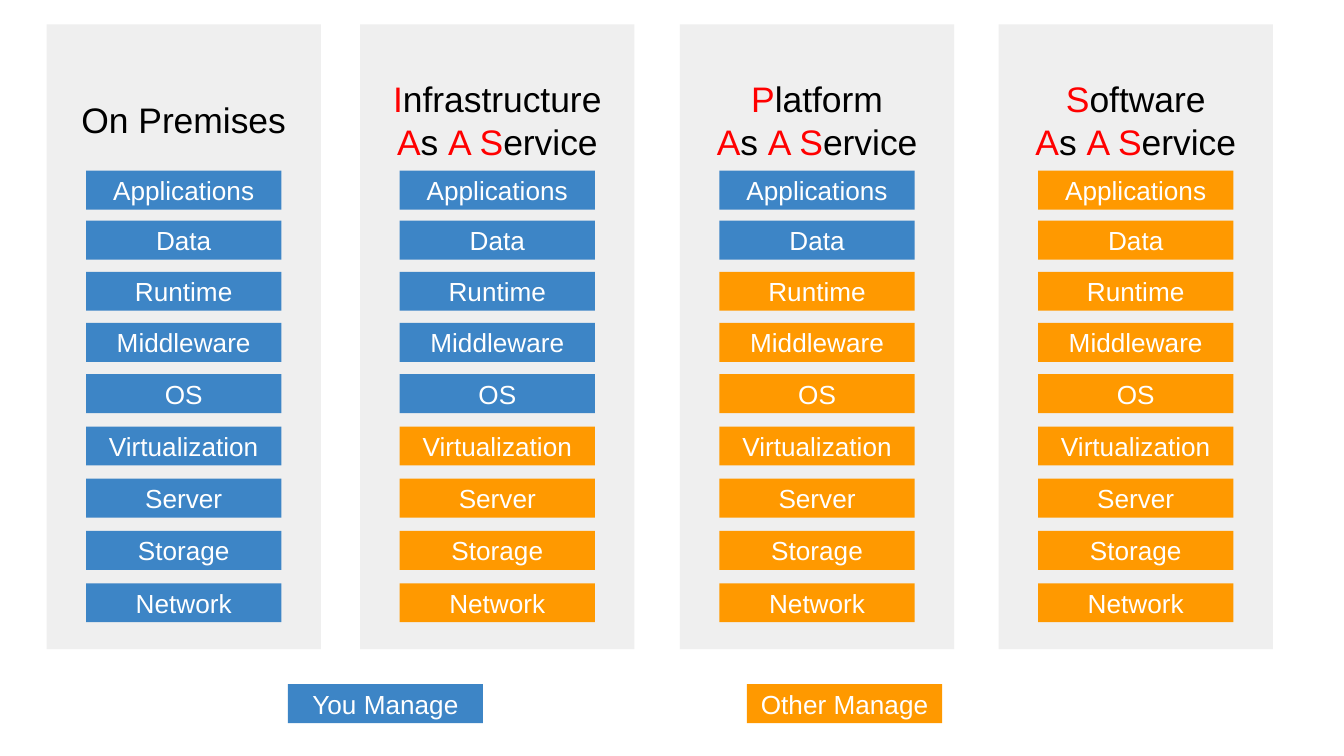
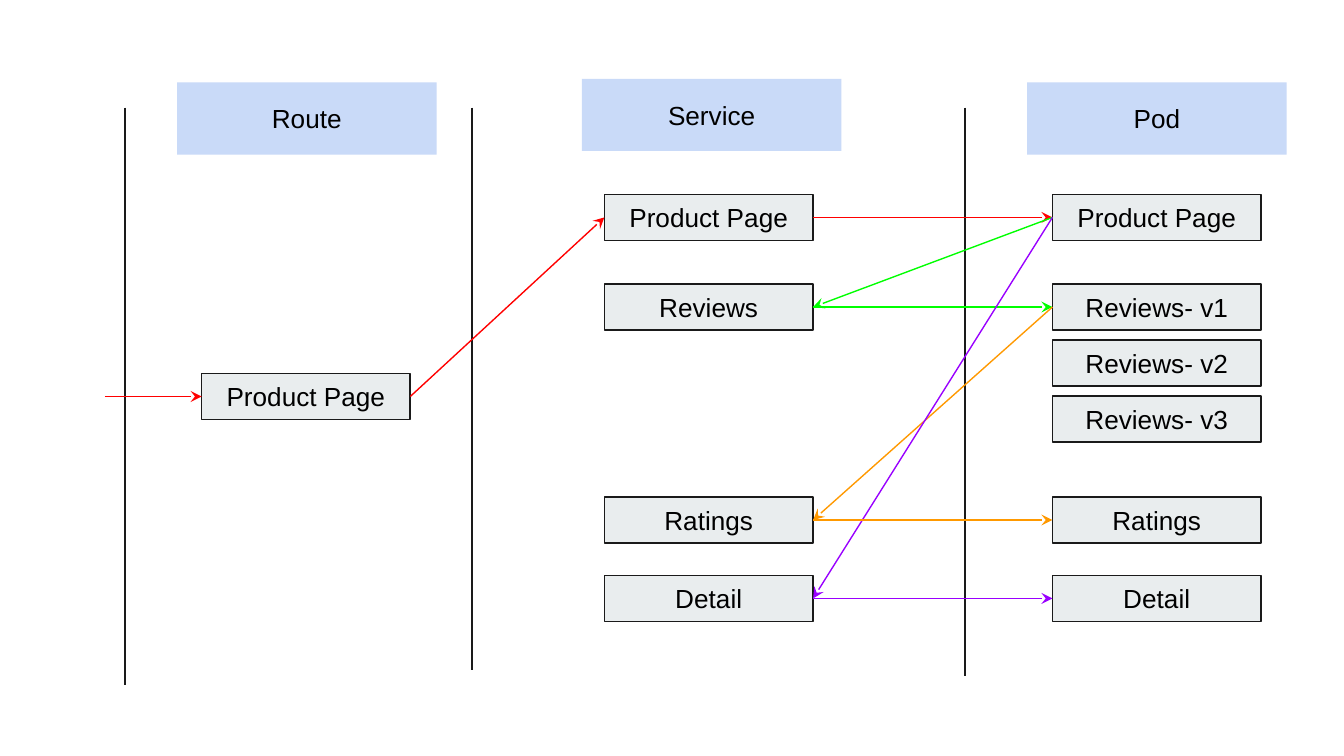
from typing import NamedTuple, Optional

from pptx import Presentation
from pptx.dml.color import RGBColor
from pptx.enum.shapes import MSO_CONNECTOR, MSO_SHAPE
from pptx.enum.text import MSO_ANCHOR as Anchor, PP_ALIGN as Align
from pptx.oxml.ns import qn
from pptx.shapes.autoshape import Shape
from pptx.shapes.connector import Connector
from pptx.slide import Slide
from pptx.util import Pt
from lxml.etree import SubElement

COLORS = {
    "white": "FFFFFF", "black": "000000", "ink": "1A1A1A",
    "panel": "EFEFEF", "you": "3D85C6", "other": "FF9900",
    "node": "E9EDEE", "header": "C9DAF8",
    "red": "FF0000", "green": "00FF00", "orange": "FF9900", "purple": "9900FF",
}
FONT = "Arial"
INSET = 7.2
LINE_W = 0.75
LEFT_SITE, RIGHT_SITE = 1, 3


class Run(NamedTuple):
    text: str
    color: str


class Model(NamedTuple):
    left: float
    title: list[list[Run]]
    own_layers: int


class Lane(NamedTuple):
    title: str
    header_left: float
    header_top: float
    divider_x: float
    divider_bottom: float
    node_left: float
    nodes: dict[str, float]


class Flow(NamedTuple):
    start: tuple[str, str]
    end: tuple[str, str]
    color: str


def rgb(name: str) -> RGBColor:
    return RGBColor.from_string(COLORS[name])


def write(sp: Shape, lines: list[list[Run]], size: float) -> None:
    tf = sp.text_frame
    tf.word_wrap = True
    tf.vertical_anchor = Anchor.MIDDLE
    tf.margin_left = tf.margin_right = tf.margin_top = tf.margin_bottom = Pt(INSET)
    for i, line in enumerate(lines):
        p = tf.add_paragraph() if i else tf.paragraphs[0]
        p.alignment = Align.CENTER
        for part in line:
            r = p.add_run()
            r.text = part.text
            r.font.name = FONT
            r.font.size = Pt(size)
            r.font.color.rgb = rgb(part.color)


def add_box(s: Slide, left: float, top: float, width: float, height: float, fill: str,
            text: str = "", ink: str = "black", line: Optional[str] = None) -> Shape:
    sp = s.shapes.add_shape(MSO_SHAPE.RECTANGLE, Pt(left), Pt(top), Pt(width), Pt(height))
    sp.shadow.inherit = False
    sp.fill.solid()
    sp.fill.fore_color.rgb = rgb(fill)
    if line:
        sp.line.color.rgb = rgb(line)
        sp.line.width = Pt(LINE_W)
    else:
        sp.line.fill.background()
    if text:
        write(sp, [[Run(text, ink)]], 14)
    return sp


def add_line(s: Slide, x1: float, y1: float, x2: float, y2: float,
             color: str, arrow: bool = False) -> Connector:
    cx = s.shapes.add_connector(MSO_CONNECTOR.STRAIGHT, Pt(x1), Pt(y1), Pt(x2), Pt(y2))
    cx.line.color.rgb = rgb(color)
    cx.line.width = Pt(LINE_W)
    if arrow:
        SubElement(cx.line._get_or_add_ln(), qn("a:tailEnd"), type="stealth")
    SubElement(cx._element.spPr, qn("a:effectLst"))
    return cx


PANEL_TOP, PANEL_W, PANEL_H = 13, 146.9, 334.8
LAYER_W, LAYER_H = 104.6, 20.9
LAYERS = {
    "Applications": 91.4, "Data": 118.2, "Runtime": 145.6, "Middleware": 173,
    "OS": 200.4, "Virtualization": 228.5, "Server": 256.4, "Storage": 284.4,
    "Network": 312.5,
}
AS_A_SERVICE = [Run("A", "red"), Run("s ", "black"), Run("A S", "red"), Run("ervice", "black")]


def service_title(initial: str, rest: str) -> list[list[Run]]:
    return [[Run(initial, "red"), Run(rest, "black")], AS_A_SERVICE]


MODELS = [
    Model(25, [[Run("On Premises", "black")]], 9),
    Model(193, service_title("I", "nfrastructure"), 5),
    Model(364.3, service_title("P", "latform"), 2),
    Model(535, service_title("S", "oftware"), 0),
]


def add_layer(s: Slide, left: float, top: float, text: str, owner: str) -> None:
    add_box(s, left, top, LAYER_W, LAYER_H, owner, text, "white")


def build_models(s: Slide) -> None:
    for m in MODELS:
        add_box(s, m.left, PANEL_TOP, PANEL_W, PANEL_H, "panel")
        for i, (name, top) in enumerate(LAYERS.items()):
            owner = "you" if i < m.own_layers else "other"
            add_layer(s, m.left + (PANEL_W - LAYER_W) / 2, top, name, owner)
        tb = s.shapes.add_textbox(Pt(m.left), Pt(52.6), Pt(PANEL_W), Pt(23))
        write(tb, m.title, 19)
    add_layer(s, 154.2, 366.5, "You Manage", "you")
    add_layer(s, 400.2, 366.5, "Other Manage", "other")


HEADER_W, HEADER_H = 139, 38.7
NODE_W, NODE_H = 111.8, 24.6
DIVIDER_TOP = 57.6
LANES = [
    Lane("Route", 94.9, 44.1, 67, 367, 108, {"Product Page": 200.1}),
    Lane("Service", 311.8, 42.2, 252.8, 359, 323.8,
         {"Product Page": 104.2, "Reviews": 152.2, "Ratings": 266.3, "Detail": 308.3}),
    Lane("Pod", 550.3, 44.1, 517, 362, 563.8,
         {"Product Page": 104.2, "Reviews- v1": 152.2, "Reviews- v2": 182.2,
          "Reviews- v3": 212.2, "Ratings": 266.3, "Detail": 308.3}),
]
ENTRY = ("Route", "Product Page")
FLOWS = [
    Flow(ENTRY, ("Service", "Product Page"), "red"),
    Flow(("Service", "Product Page"), ("Pod", "Product Page"), "red"),
    Flow(("Pod", "Product Page"), ("Service", "Reviews"), "green"),
    Flow(("Service", "Reviews"), ("Pod", "Reviews- v1"), "green"),
    Flow(("Pod", "Reviews- v1"), ("Service", "Ratings"), "orange"),
    Flow(("Pod", "Product Page"), ("Service", "Detail"), "purple"),
    Flow(("Service", "Detail"), ("Pod", "Detail"), "purple"),
    Flow(("Service", "Ratings"), ("Pod", "Ratings"), "orange"),
]


def build_routing(s: Slide) -> None:
    nodes: dict[tuple[str, str], Shape] = {}
    for lane in LANES:
        add_line(s, lane.divider_x, DIVIDER_TOP, lane.divider_x, lane.divider_bottom, "ink")
        add_box(s, lane.header_left, lane.header_top, HEADER_W, HEADER_H, "header", lane.title)
        for name, top in lane.nodes.items():
            nodes[lane.title, name] = add_box(
                s, lane.node_left, top, NODE_W, NODE_H, "node", name, line="ink")

    entry_y = LANES[0].nodes["Product Page"] + NODE_H / 2
    entry = add_line(s, 56.2, entry_y, LANES[0].node_left, entry_y, "red", arrow=True)
    entry.end_connect(nodes[ENTRY], LEFT_SITE)
    for f in FLOWS:
        start, end = nodes[f.start], nodes[f.end]
        forward = start.left < end.left
        cx = add_line(s, 0, 0, 0, 0, f.color, arrow=True)
        cx.begin_connect(start, RIGHT_SITE if forward else LEFT_SITE)
        cx.end_connect(end, LEFT_SITE if forward else RIGHT_SITE)


def main() -> None:
    prs = Presentation()
    prs.slide_width, prs.slide_height = Pt(720), Pt(405)
    blank = prs.slide_layouts[6]
    for build in (build_models, build_routing):
        build(prs.slides.add_slide(blank))
    prs.save("out.pptx")


if __name__ == "__main__":
    main()
